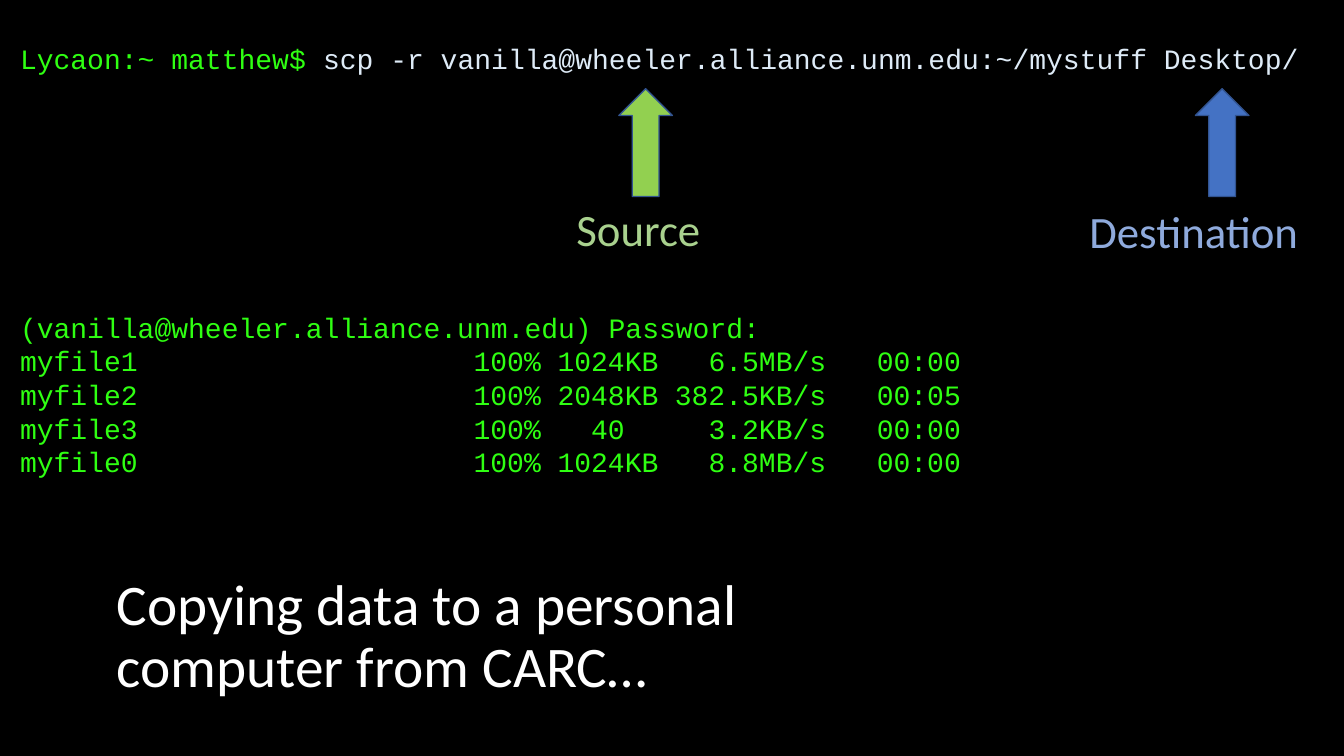
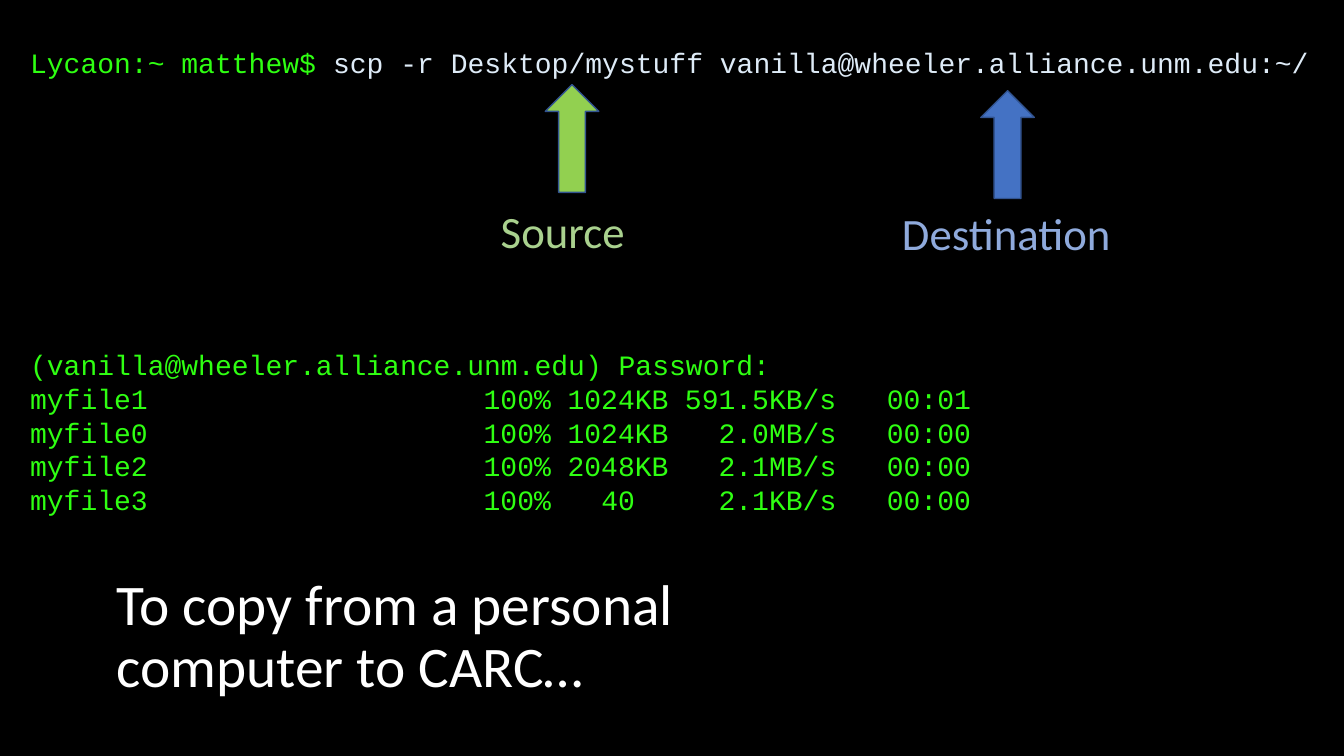
from lxml import etree
from pptx import Presentation
from pptx.dml.color import RGBColor
from pptx.enum import shapes, text
from pptx.oxml import ns
from pptx.util import Pt

MONO, SANS = "Courier New", "Calibri"
BLACK, WHITE = "000000", "FFFFFF"
TERMINAL_GREEN, COMMAND_BLUE = "2FFF12", "DEEBF7"
ARROW_LINE = "325491"
MARKERS = {  # label: (arrow fill, text colour, label width)
    "Source": ("92D050", "A9D18E", 111.6),
    "Destination": ("4472C4", "8FAADC", 165.6),
}

ROW = 24          # height of a terminal row
CHARACTER = 12    # width of a terminal character
COLUMNS = [(27, "l"), (35, "ctr"), (48, "r"), (51, "l")]  # character, alignment
PROMPT = "Lycaon:~ matthew$ "
PASSWORD = "(vanilla@wheeler.alliance.unm.edu) Password:"

SLIDES = [
    {
        "title": "Copying data to a personal computer from CARC…",
        "command": "scp -r vanilla@wheeler.alliance.unm.edu:~/mystuff Desktop/",
        "terminal": (7.2, 26),
        "empty_rows": 7,
        "files": [
            ("myfile1", "100%", "1024KB", "6.5MB/s", "00:00"),
            ("myfile2", "100%", "2048KB", "382.5KB/s", "00:05"),
            ("myfile3", "100%", "40", "3.2KB/s", "00:00"),
            ("myfile0", "100%", "1024KB", "8.8MB/s", "00:00"),
        ],
        # label: (arrow position, label position)
        "markers": {
            "Source": ((442.1, 63.4), (404.6, 140.4)),
            "Destination": ((853.9, 63.4), (771.1, 141.8)),
        },
    },
    {
        "title": "To copy from a personal computer to CARC…",
        "command": "scp -r Desktop/mystuff vanilla@wheeler.alliance.unm.edu:~/",
        "terminal": (14.4, 29),
        "empty_rows": 8,
        "files": [
            ("myfile1", "100%", "1024KB", "591.5KB/s", "00:01"),
            ("myfile0", "100%", "1024KB", "2.0MB/s", "00:00"),
            ("myfile2", "100%", "2048KB", "2.1MB/s", "00:00"),
            ("myfile3", "100%", "40", "2.1KB/s", "00:00"),
        ],
        "markers": {
            "Source": ((389.5, 60.5), (350.6, 141.8)),
            "Destination": ((700.6, 64.8), (637.2, 143.3)),
        },
    },
]


def rgb(color):
    return RGBColor.from_string(color)


def add_run(paragraph, words, *, size, font, color):
    run = paragraph.add_run()
    run.text = words
    run.font.size, run.font.name = Pt(size), font
    run.font.color.rgb = rgb(color)


def add_box(slide, left, top, width, height, anchor=text.MSO_ANCHOR.TOP):
    box = slide.shapes.add_textbox(Pt(left), Pt(top), Pt(width), Pt(height))
    frame = box.text_frame
    frame.word_wrap = True
    frame.vertical_anchor = anchor
    return frame


def set_column_tabs(paragraph):
    properties = paragraph._p.get_or_add_pPr()
    tabs = etree.SubElement(properties, ns.qn("a:tabLst"))
    for character, alignment in COLUMNS:
        tab = etree.SubElement(tabs, ns.qn("a:tab"))
        tab.set("pos", str(Pt(character * CHARACTER)))
        tab.set("algn", alignment)


def add_terminal(slide, content):
    rows = [
        [(PROMPT, TERMINAL_GREEN), (content["command"], COMMAND_BLUE)],
        [(PASSWORD, TERMINAL_GREEN)],
    ]
    rows += [[("\t".join(file), TERMINAL_GREEN)] for file in content["files"]]
    height = (len(rows) + content["empty_rows"]) * ROW + 8
    frame = add_box(slide, *content["terminal"], 940, height)
    for index, runs in enumerate(rows):
        paragraph = frame.add_paragraph() if index else frame.paragraphs[0]
        set_column_tabs(paragraph)
        paragraph.line_spacing = Pt(ROW)
        if index == 1:
            paragraph.space_before = Pt(content["empty_rows"] * ROW)
        for words, color in runs:
            add_run(paragraph, words, size=20, font=MONO, color=color)


def add_title(slide, words):
    frame = add_box(slide, 76.3, 406, 549.4, 99.4, text.MSO_ANCHOR.MIDDLE)
    paragraph = frame.paragraphs[0]
    paragraph.line_spacing = 0.9
    paragraph.space_after = Pt(6)
    add_run(paragraph, words, size=41, font=SANS, color=WHITE)


def add_marker(slide, label, arrow_position, label_position):
    fill, color, width = MARKERS[label]
    left, top = arrow_position
    arrow = slide.shapes.add_shape(
        shapes.MSO_SHAPE.UP_ARROW, Pt(left), Pt(top), Pt(38.2), Pt(77))
    arrow.shadow.inherit = False
    arrow.fill.solid()
    arrow.fill.fore_color.rgb = rgb(fill)
    arrow.line.color.rgb = rgb(ARROW_LINE)
    arrow.line.width = Pt(1)
    frame = add_box(slide, *label_position, width, 46)
    add_run(frame.paragraphs[0], label, size=32, font=SANS, color=color)


def main():
    presentation = Presentation()
    presentation.slide_width, presentation.slide_height = Pt(960), Pt(540)
    background = presentation.slide_master.background.fill
    background.solid()
    background.fore_color.rgb = rgb(BLACK)
    for content in SLIDES:
        slide = presentation.slides.add_slide(presentation.slide_layouts[6])
        add_terminal(slide, content)
        add_title(slide, content["title"])
        for label, positions in content["markers"].items():
            add_marker(slide, label, *positions)
    presentation.save("out.pptx")


if __name__ == "__main__":
    main()
